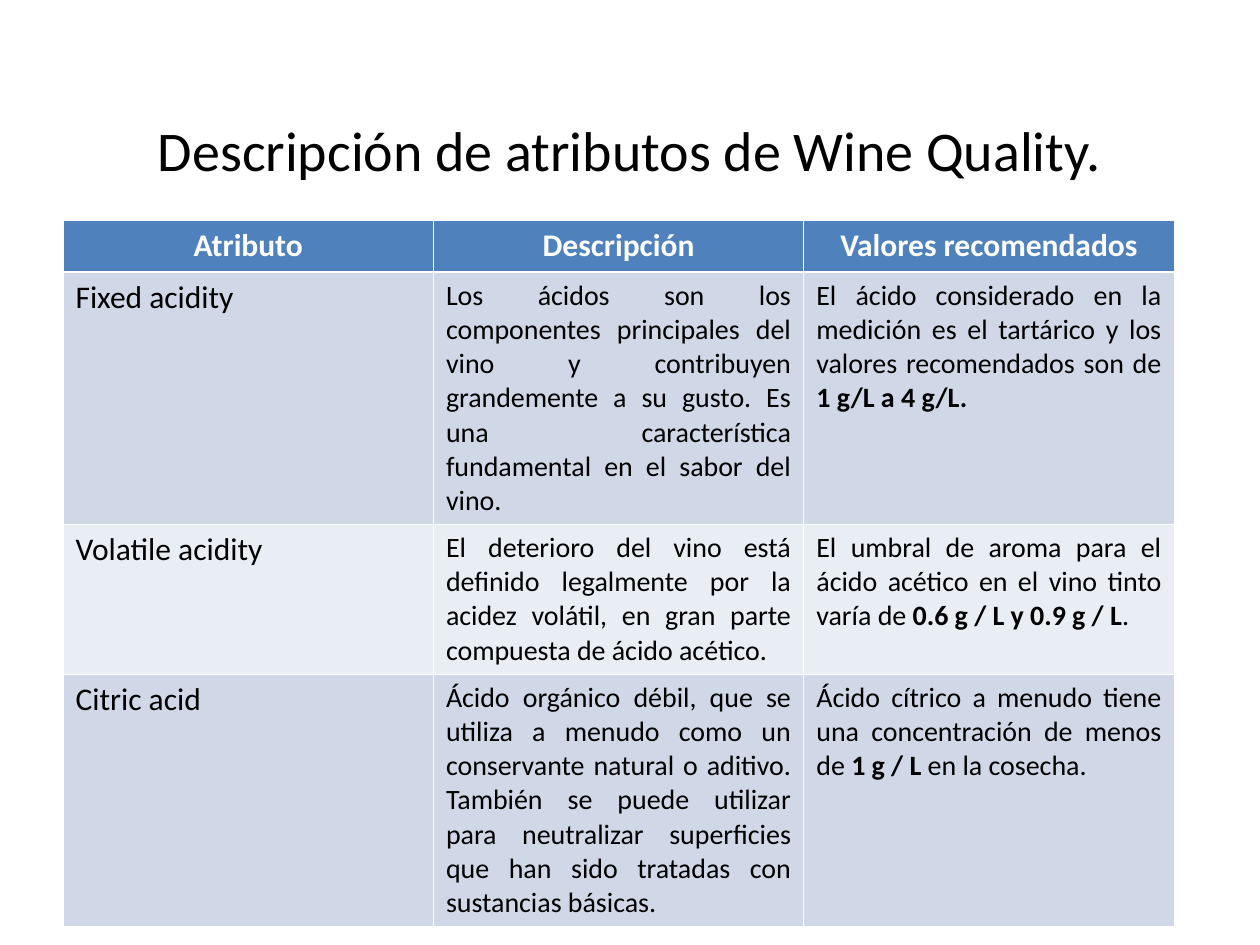
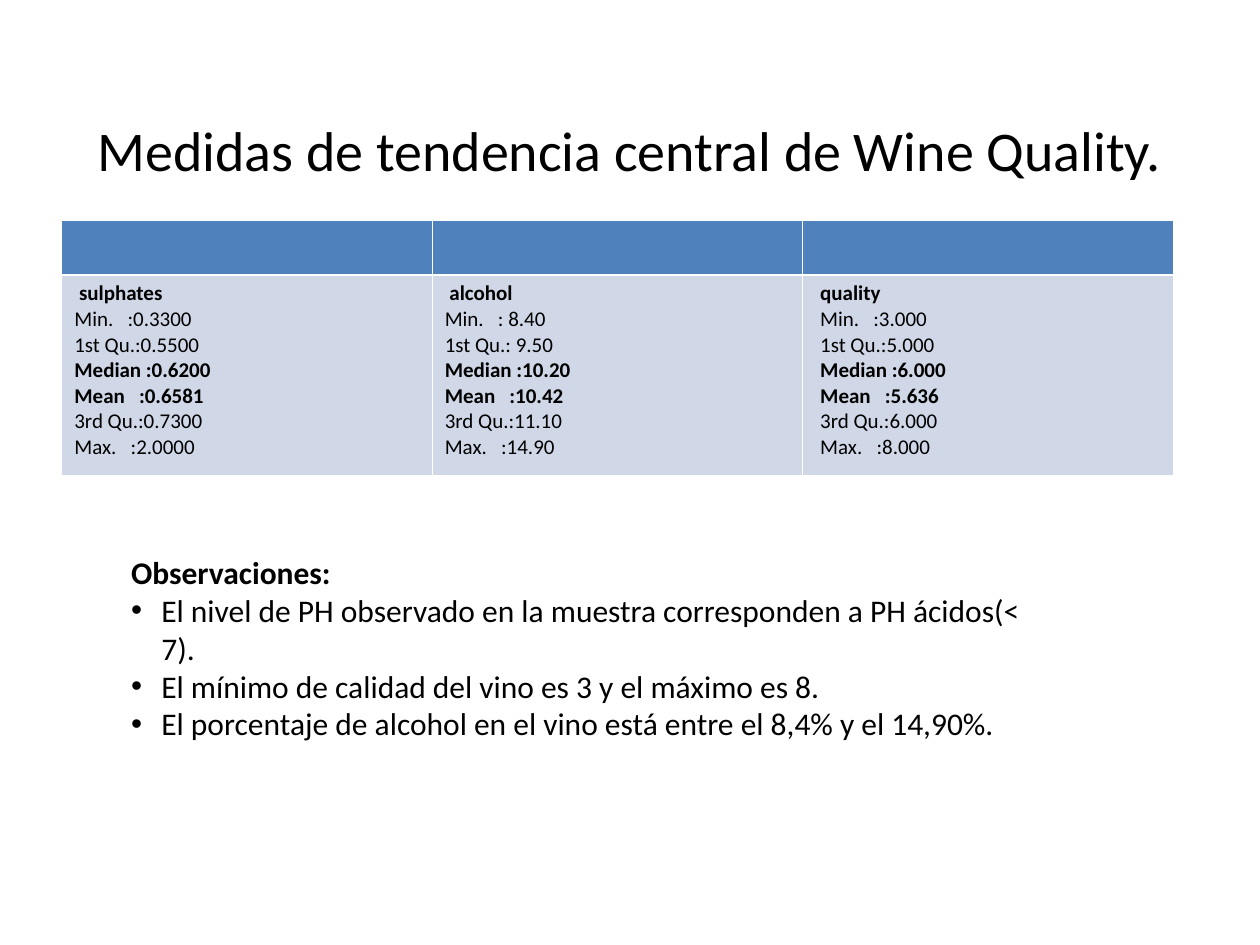
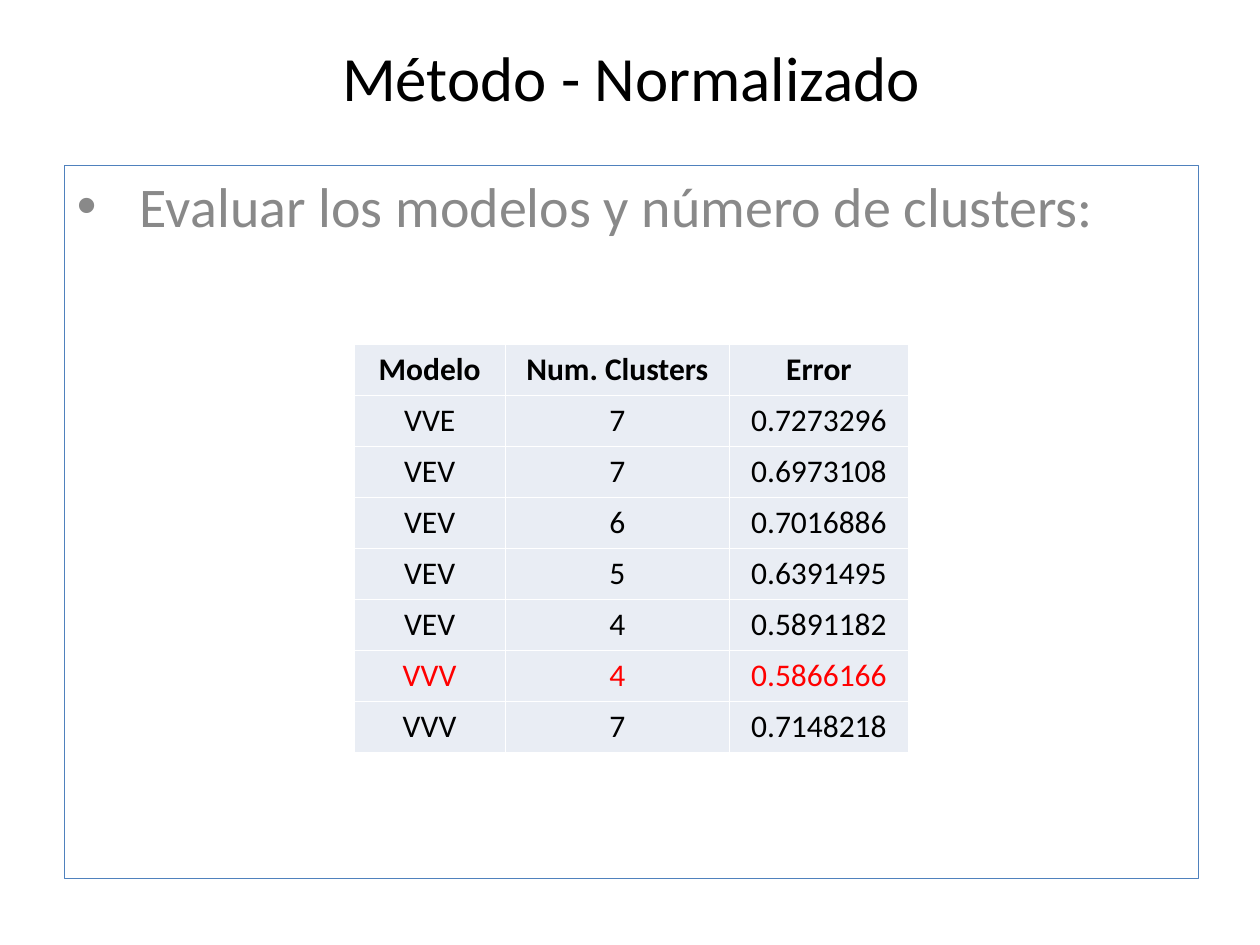
import pptx
import pptx.util
import pptx.dml.color
import pptx.enum.text
import pptx.oxml
import pptx.oxml.ns
from pptx.util import Inches

FONT = "Calibri"
BLACK, WHITE, GREY, RED = "000000", "FFFFFF", "898989", "FF0000"
BLUE, BAND, PALE = "4F81BD", "D0D8E8", "E9EDF4"
ALIGN = pptx.enum.text.PP_ALIGN
ANCHOR = pptx.enum.text.MSO_ANCHOR
THIN, THICK = 0.45, 1.47

TRAITS = [
    ("Atributo", "Descripción", "Valores recomendados"),
    ("Fixed acidity",
     "Los ácidos son los componentes principales del vino y contribuyen grandemente a su gusto. "
     "Es una característica fundamental en el sabor del vino.",
     "El ácido considerado en la medición es el tartárico y los valores recomendados son de"
     "* 1 g/L a 4 g/L.*"),
    ("Volatile acidity",
     "El deterioro del vino está definido legalmente por la acidez volátil, "
     "en gran parte compuesta de ácido acético.",
     "El umbral de aroma para el ácido acético en el vino tinto varía de "
     "*0.6 g / L y 0.9 g / L*."),
    ("Citric acid",
     "Ácido orgánico débil, que se utiliza a menudo como un conservante natural o aditivo. "
     "También se puede utilizar para neutralizar superficies que han sido tratadas "
     "con sustancias básicas.",
     "Ácido cítrico a menudo tiene una concentración de menos de *1 g / L *en la cosecha."),
]
STATS = ["Min.", "1st Qu.", "Median", "Mean", "3rd Qu.", "Max."]
CENTRAL = ("Median", "Mean")
SAMPLES = [
    (" sulphates", ["0.3300", "0.5500", "0.6200", "0.6581", "0.7300", "2.0000"]),
    (" alcohol", ["8.40", "9.50", "10.20", "10.42", "11.10", "14.90"]),
    ("quality", ["3.000", "5.000", "6.000", "5.636", "6.000", "8.000"]),
]
NOTES = [
    "*Observaciones:*",
    "•El nivel de PH observado en la muestra corresponden a PH ácidos(< 7).",
    "•El mínimo de calidad del vino es 3 y el máximo es 8.",
    "•El porcentaje de alcohol en el vino está entre el 8,4% y el 14,90%.",
]
MODELS = [
    ("Modelo", "Num. Clusters", "Error"),
    ("VVE", "7", "0.7273296"),
    ("VEV", "7", "0.6973108"),
    ("VEV", "6", "0.7016886"),
    ("VEV", "5", "0.6391495"),
    ("VEV", "4", "0.5891182"),
    ("VVV", "4", "0.5866166"),
    ("VVV", "7", "0.7148218"),
]
BEST = 6


def rgb(code):
    """Turn a hex string into a colour."""
    return pptx.dml.color.RGBColor.from_string(code)


def node(tag, inner="", **attrs):
    """Make a drawing element."""
    extra = "".join(f' {key}="{val}"' for key, val in attrs.items())
    space = pptx.oxml.ns.nsdecls("a")
    return pptx.oxml.parse_xml(f"<a:{tag} {space}{extra}>{inner}</a:{tag}>")


def place(shape, left, top, width, height):
    """Move and size a shape, in inches."""
    shape.left, shape.top = Inches(left), Inches(top)
    shape.width, shape.height = Inches(width), Inches(height)


def put(frame, lines, size=18, color=BLACK, bold=False, align=ALIGN.LEFT, indent=None):
    """Write paragraphs; stars enclose bold words and a leading dot makes a bullet."""
    for num, line in enumerate(lines):
        para = frame.paragraphs[0] if num == 0 else frame.add_paragraph()
        para.alignment = align
        para.space_before = pptx.util.Pt(0)
        if indent is not None:
            props = para._p.get_or_add_pPr()
            step = Inches(indent) if line.startswith("•") else 0
            props.set("marL", str(step))
            props.set("indent", str(-step))
            if step:
                props.append(node("buClr", f'<a:srgbClr val="{color}"/>'))
                props.append(node("buFont", typeface="Arial"))
                props.append(node("buChar", char="•"))
            else:
                props.append(node("buNone"))
        for part, words in enumerate(line.lstrip("•").split("*")):
            if words:
                run = para.add_run()
                run.text = words
                run.font.name = FONT
                run.font.size = pptx.util.Pt(size)
                run.font.bold = bold or part % 2 == 1
                run.font.color.rgb = rgb(color)


def head(slide, text, box, size=32, anchor=ANCHOR.BOTTOM):
    """Fill the title placeholder."""
    title = slide.shapes.title
    place(title, *box)
    frame = title.text_frame
    frame.auto_size = pptx.enum.text.MSO_AUTO_SIZE.NONE
    frame.vertical_anchor = anchor
    if anchor == ANCHOR.BOTTOM:
        frame.margin_bottom = Inches(0.1)
    put(frame, [text], size=size, align=ALIGN.CENTER)


def body(slide, lines, box, **style):
    """Fill the body placeholder."""
    shape = slide.placeholders[1]
    place(shape, *box)
    frame = shape.text_frame
    frame.word_wrap = True
    frame.auto_size = pptx.enum.text.MSO_AUTO_SIZE.NONE
    put(frame, lines, **style)
    return shape


def grid(slide, left, top, widths, heights):
    """Add a table without bands."""
    frame = slide.shapes.add_table(
        len(heights), len(widths), Inches(left), Inches(top),
        Inches(sum(widths)), Inches(sum(heights)))
    table = frame.table
    table.horz_banding = False
    for col, width in zip(table.columns, widths):
        col.width = Inches(width)
    for row, height in zip(table.rows, heights):
        row.height = Inches(height)
    return table


def paint(cell, fill, above=THIN, below=THIN):
    """Give a cell white borders and a fill."""
    props = cell._tc.get_or_add_tcPr()
    ink = f'<a:solidFill><a:srgbClr val="{WHITE}"/></a:solidFill>'
    for tag, width in (("lnL", THIN), ("lnR", THIN), ("lnT", above), ("lnB", below)):
        props.append(node(tag, ink, w=pptx.util.Pt(width)))
    cell.fill.solid()
    cell.fill.fore_color.rgb = rgb(fill)


def edges(row):
    """Return the top and bottom border widths beside a header row."""
    return {0: (THIN, THICK), 1: (THICK, THIN)}.get(row, (THIN, THIN))


def traits(slide):
    """Build the slide of wine attributes."""
    head(slide, "Descripción de atributos de Wine Quality.", (0.5, 0.3, 9, 1.25))
    table = grid(slide, 0.5, 1.75, [2.94] * 3, [0.41, 2, 1.19, 2])
    for r, texts in enumerate(TRAITS):
        for c, text in enumerate(texts):
            cell = table.cell(r, c)
            if r == 0:
                paint(cell, BLUE, *edges(r))
                put(cell.text_frame, [text], color=WHITE, bold=True, align=ALIGN.CENTER)
            else:
                paint(cell, BAND if r % 2 else PALE, *edges(r))
                put(cell.text_frame, [text], size=16 if c else 18, align=ALIGN.JUSTIFY)


def centre(slide):
    """Build the slide of central measures."""
    head(slide, "Medidas de tendencia central de Wine Quality.", (0.5, 0.3, 9, 1.25))
    table = grid(slide, 0.49, 1.75, [2.94] * 3, [0.43, 1.59])
    for c, (name, values) in enumerate(SAMPLES):
        paint(table.cell(0, c), BLUE, *edges(0))
        cell = table.cell(1, c)
        paint(cell, BAND, *edges(1))
        if name == "quality":
            cell.margin_left = Inches(0.14)
        lines = [f"*{name}*"]
        for stat, value in zip(STATS, values):
            mark = "*" if stat in CENTRAL else ""
            lines.append(f"{mark}{stat:<7}:{value:>5}{mark}")
        put(cell.text_frame, lines, size=12, align=ALIGN.JUSTIFY)
    body(slide, NOTES, (0.94, 4.34, 7.44, 1.6), indent=0.24)


def models(slide):
    """Build the slide of model errors."""
    head(slide, "Método - Normalizado", (0.51, 0.21, 9, 0.79), size=36, anchor=ANCHOR.MIDDLE)
    panel = body(slide, ["•Evaluar los modelos y número de clusters:"],
                 (0.51, 1.31, 9, 5.66), size=32, color=GREY, indent=0.5)
    panel.fill.solid()
    panel.fill.fore_color.rgb = rgb(WHITE)
    panel.line.color.rgb = rgb(BLUE)
    panel.line.width = pptx.util.Pt(0.25)
    table = grid(slide, 2.81, 2.73, [1.2, 1.78, 1.42], [0.31] * len(MODELS))
    for r, texts in enumerate(MODELS):
        for c, text in enumerate(texts):
            cell = table.cell(r, c)
            paint(cell, PALE)
            cell.vertical_anchor = ANCHOR.BOTTOM
            cell.margin_left = cell.margin_right = Inches(0.01)
            put(cell.text_frame, [text], color=RED if r == BEST else BLACK,
                bold=r == 0, align=ALIGN.CENTER)


def main():
    """Build and save the deck."""
    deck = pptx.Presentation()
    deck.slide_width, deck.slide_height = Inches(10), Inches(7.5)
    for build, layout in ((traits, 5), (centre, 1), (models, 1)):
        build(deck.slides.add_slide(deck.slide_layouts[layout]))
    deck.save("out.pptx")


if __name__ == "__main__":
    main()
